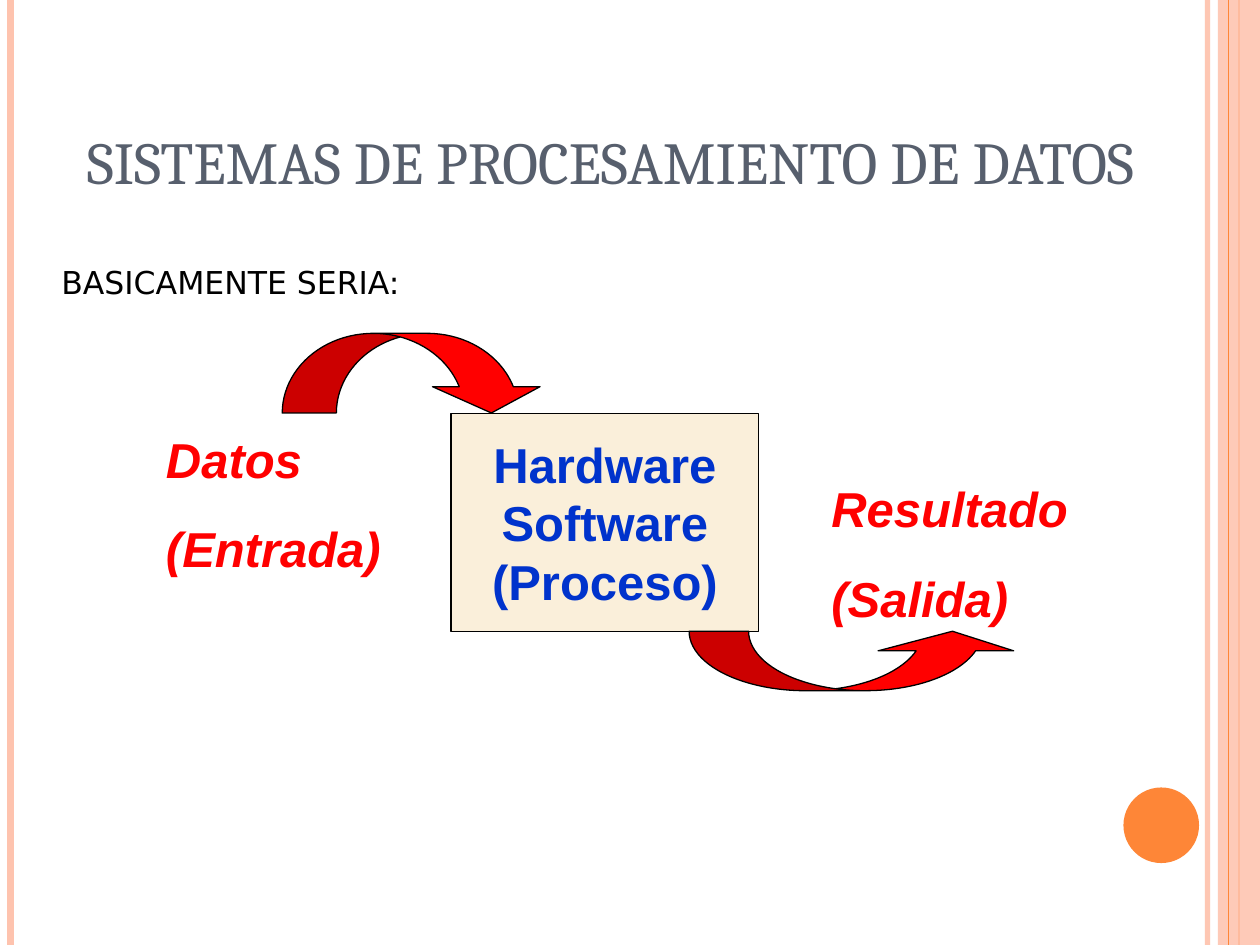
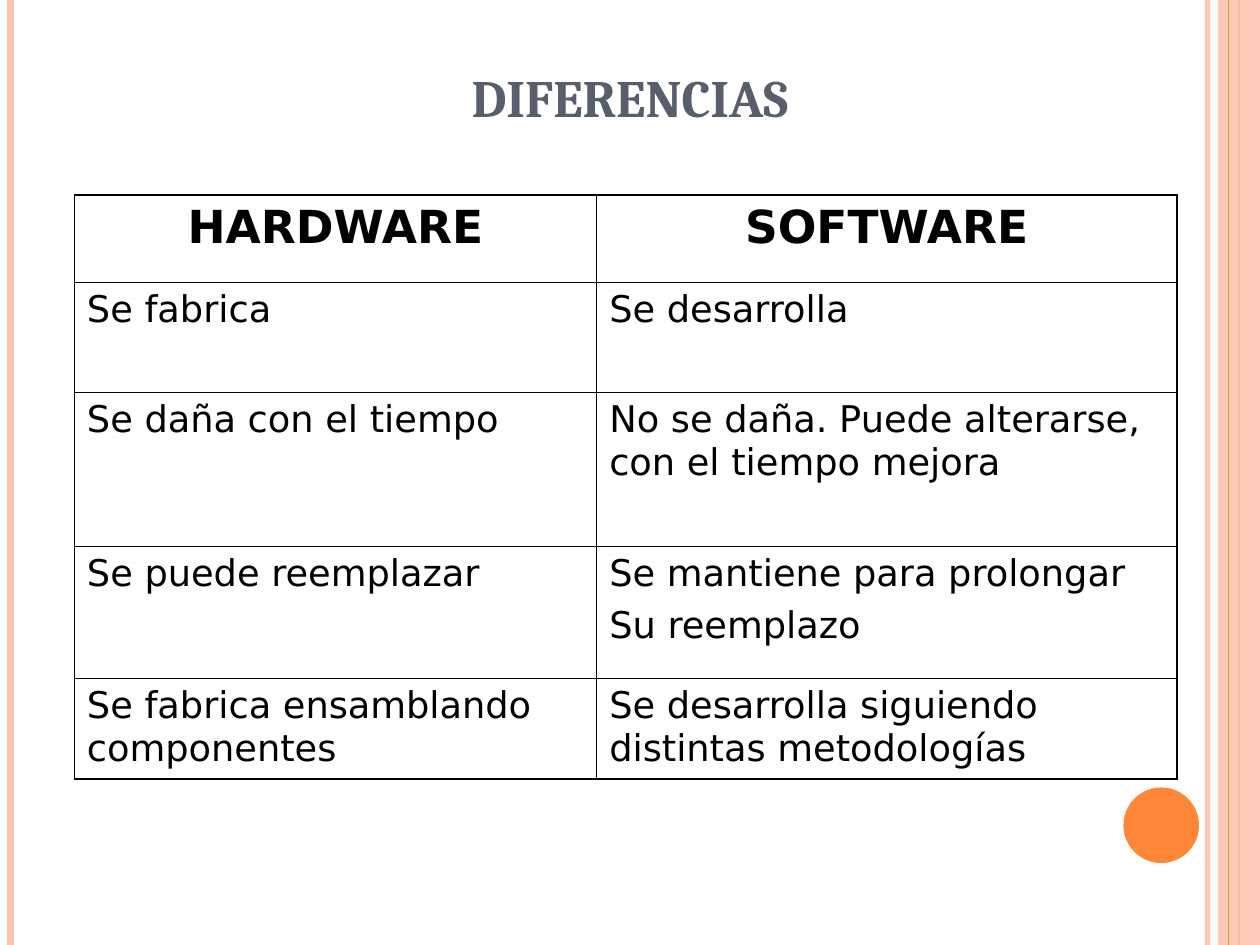
from lxml import etree
from pptx import Presentation
from pptx.dml.color import RGBColor
from pptx.enum import shapes, text
from pptx.oxml import ns
from pptx.util import Pt

PEACH = RGBColor(0xFE, 0xC3, 0xAE)
ORANGE = RGBColor(0xFE, 0x86, 0x37)
SLATE = RGBColor(0x57, 0x5F, 0x6D)
CREAM = RGBColor(0xFA, 0xEF, 0xDA)
BLUE = RGBColor(0x00, 0x33, 0xCC)
RED = RGBColor(0xFF, 0x00, 0x00)
BLACK = RGBColor(0x00, 0x00, 0x00)

WIDTH, HEIGHT = 720, 540
LEFT, CENTER = text.PP_ALIGN.LEFT, text.PP_ALIGN.CENTER
SHAPE = shapes.MSO_SHAPE

FLOW_TITLE = "SISTEMAS DE PROCESAMIENTO DE DATOS"
FLOW_INTRO = "BASICAMENTE SERIA:"
PROCESS = ["Hardware", "Software", "(Proceso)"]
PROCESS_BOX = (257.8, 236.2, 175.7, 124.6)
FLOW_LABELS = [
    (["Datos", "(Entrada)"], (87.8, 241.9, 153.4, 92.2)),
    (["Resultado", "(Salida)"], (468, 270, 181.4, 92.2)),
]
FLOW_ARROWS = [
    (SHAPE.CURVED_DOWN_ARROW, (161.3, 190.5, 150.2, 45.5), (0.68, 1.35, 0.33)),
    (SHAPE.CURVED_UP_ARROW, (393.8, 360.7, 189.2, 34), (1.15, 2.28, 0.33)),
]

DIFF_TITLE = "DIFERENCIAS"
DIFFERENCES = [
    ("HARDWARE", "SOFTWARE"),
    ("Se fabrica", "Se desarrolla"),
    ("Se daña con el tiempo", "No se daña. Puede alterarse, con el tiempo mejora"),
    ("Se puede reemplazar", "Se mantiene para prolongar\nSu reemplazo"),
    ("Se fabrica ensamblando componentes",
     "Se desarrolla siguiendo distintas metodologías"),
]
COL_WIDTHS = [298.5, 331.5]
ROW_HEIGHTS = [50, 62.9, 88, 75.2, 57.5]
OUTER, INNER = 1.08, 0.45


def pts(*lengths):
    return [Pt(v) for v in lengths]


def sub(parent, tag, **attrs):
    return etree.SubElement(parent, ns.qn(tag), attrs)


def set_alpha(sp, percent):
    for color in sp._element.spPr.iter(ns.qn("a:srgbClr")):
        sub(color, "a:alpha", val=str(percent * 1000))


def write(tf, lines, size, font, color, bold=False, italic=False,
          align=LEFT, gap=0):
    tf.text = "\n".join(lines)
    for i, p in enumerate(tf.paragraphs):
        p.alignment = align
        p.space_before = Pt(gap if i else 0)
        for r in p.runs:
            f = r.font
            f.size, f.name, f.bold, f.italic = Pt(size), font, bold, italic
            f.color.rgb = color


def add_text(s, lines, box, *style, **options):
    tf = s.shapes.add_textbox(*pts(*box)).text_frame
    tf.word_wrap = True
    write(tf, lines, *style, **options)


def add_filled(s, kind, box, fill, line=None):
    sp = s.shapes.add_shape(kind, *pts(*box))
    sp.shadow.inherit = False
    sp.fill.solid()
    sp.fill.fore_color.rgb = fill
    if line is None:
        sp.line.fill.background()
    else:
        sp.line.color.rgb = line
        sp.line.width = Pt(0.75)
    return sp


def add_stripe(s, x, color, width):
    line = s.shapes.add_connector(shapes.MSO_CONNECTOR.STRAIGHT,
                                  *pts(x, 0, x, HEIGHT))
    line.line.color.rgb = color
    line.line.width = Pt(width)
    sub(line._element.spPr, "a:effectLst")
    return line


def add_slide(prs, title, box, size, bold=False, align=LEFT):
    s = prs.slides.add_slide(prs.slide_layouts[5])
    set_alpha(add_stripe(s, 690, PEACH, 3), 93)
    add_stripe(s, 6, PEACH, 4.5)
    add_stripe(s, 708, ORANGE, 1.5)
    set_alpha(add_filled(s, SHAPE.RECTANGLE, (696, 0, 24, HEIGHT), PEACH), 87)
    add_stripe(s, 702, ORANGE, 0.75)
    add_filled(s, SHAPE.OVAL, (642, 450, 43.2, 43.2), ORANGE)
    sp = s.shapes.title
    sp.left, sp.top, sp.width, sp.height = pts(*box)
    tf = sp.text_frame
    tf.auto_size = text.MSO_AUTO_SIZE.NONE
    tf.vertical_anchor = text.MSO_ANCHOR.BOTTOM
    write(tf, [title], size, "Cambria", SLATE, bold, align=align)
    return s


def add_borders(cell, widths):
    tc_pr = cell._tc.get_or_add_tcPr()
    for side, width in widths.items():
        ln = sub(tc_pr, f"a:ln{side}", w=str(Pt(width)))
        sub(sub(ln, "a:solidFill"), "a:srgbClr", val=str(BLACK))


def build_flow(prs):
    s = add_slide(prs, FLOW_TITLE, (42.5, 26, 648, 90), 34)
    tf = add_filled(s, SHAPE.RECTANGLE, PROCESS_BOX, CREAM, BLACK).text_frame
    tf.word_wrap = False
    tf.vertical_anchor = text.MSO_ANCHOR.MIDDLE
    write(tf, PROCESS, 28, "Arial", BLUE, bold=True, align=CENTER)
    for lines, box in FLOW_LABELS:
        add_text(s, lines, box, 28, "Arial", RED, bold=True, italic=True, gap=17.5)
    for kind, box, ratios in reversed(FLOW_ARROWS):
        sp = add_filled(s, kind, box, RED, BLACK)
        for i, ratio in enumerate(ratios):
            sp.adjustments[i] = ratio
    add_text(s, [FLOW_INTRO], (28, 147, 266.5, 29), 18, "DejaVu Sans", BLACK)


def build_differences(prs):
    s = add_slide(prs, DIFF_TITLE, (45, 24, 630, 53), 30, True, CENTER)
    n_rows, n_cols = len(ROW_HEIGHTS), len(COL_WIDTHS)
    table = s.shapes.add_table(n_rows, n_cols, *pts(
        42.5, 111.5, sum(COL_WIDTHS), sum(ROW_HEIGHTS))).table
    table.first_row = table.horz_banding = False
    for col, width in zip(table.columns, COL_WIDTHS):
        col.width = Pt(width)
    for i, (row, height) in enumerate(zip(table.rows, ROW_HEIGHTS)):
        row.height = Pt(height)
        for j, cell in enumerate(row.cells):
            edges = {"L": j == 0, "R": j == n_cols - 1,
                     "T": i == 0, "B": i == n_rows - 1}
            add_borders(cell, {side: OUTER if outer else INNER
                               for side, outer in edges.items()})
            cell.fill.background()
            header = i == 0
            write(cell.text_frame, DIFFERENCES[i][j].split("\n"),
                  26 if header else 21, "DejaVu Sans", BLACK, bold=header,
                  align=CENTER if header else LEFT, gap=5.2)


def main():
    prs = Presentation()
    prs.slide_width, prs.slide_height = pts(WIDTH, HEIGHT)
    build_flow(prs)
    build_differences(prs)
    prs.save("out.pptx")


if __name__ == "__main__":
    main()
